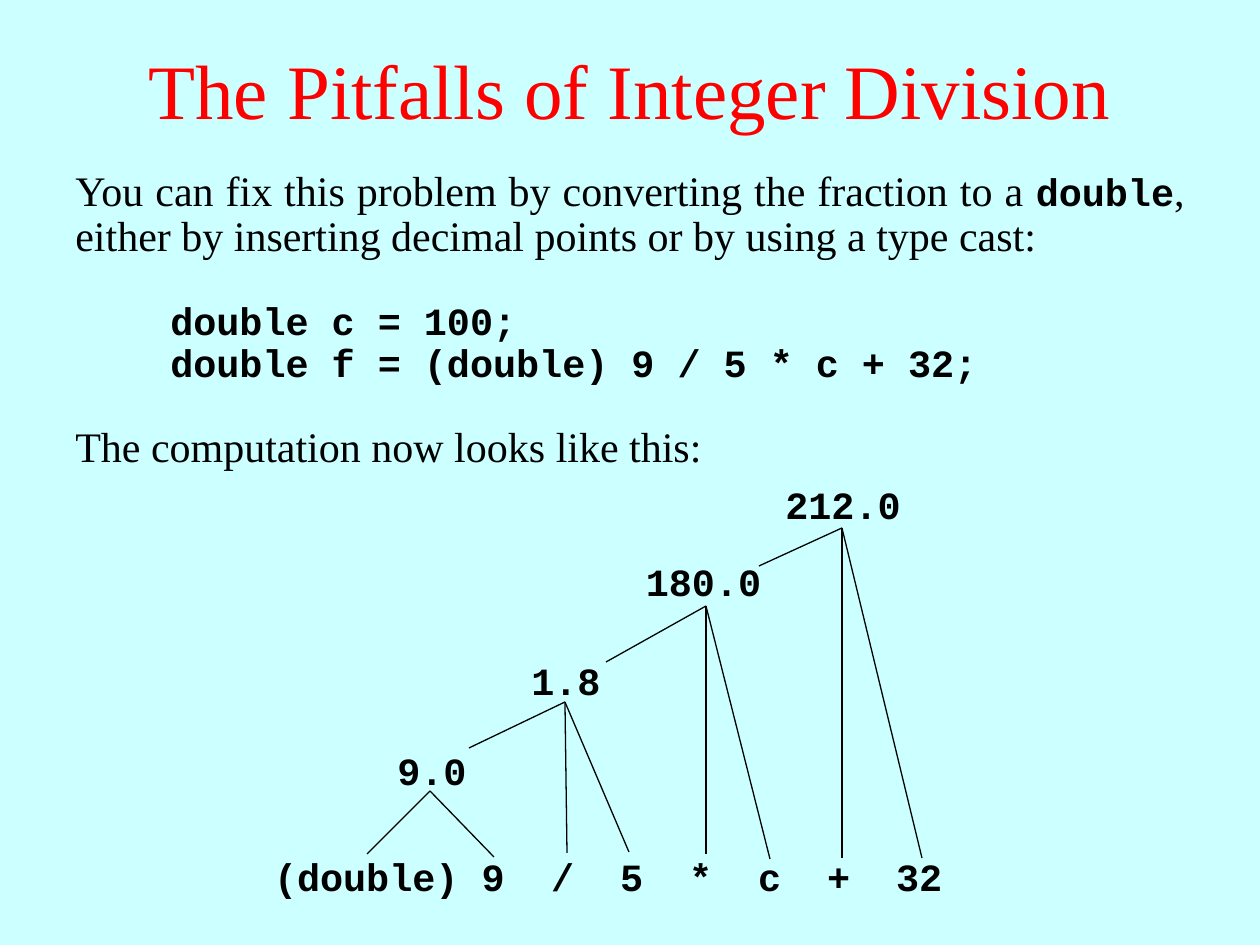
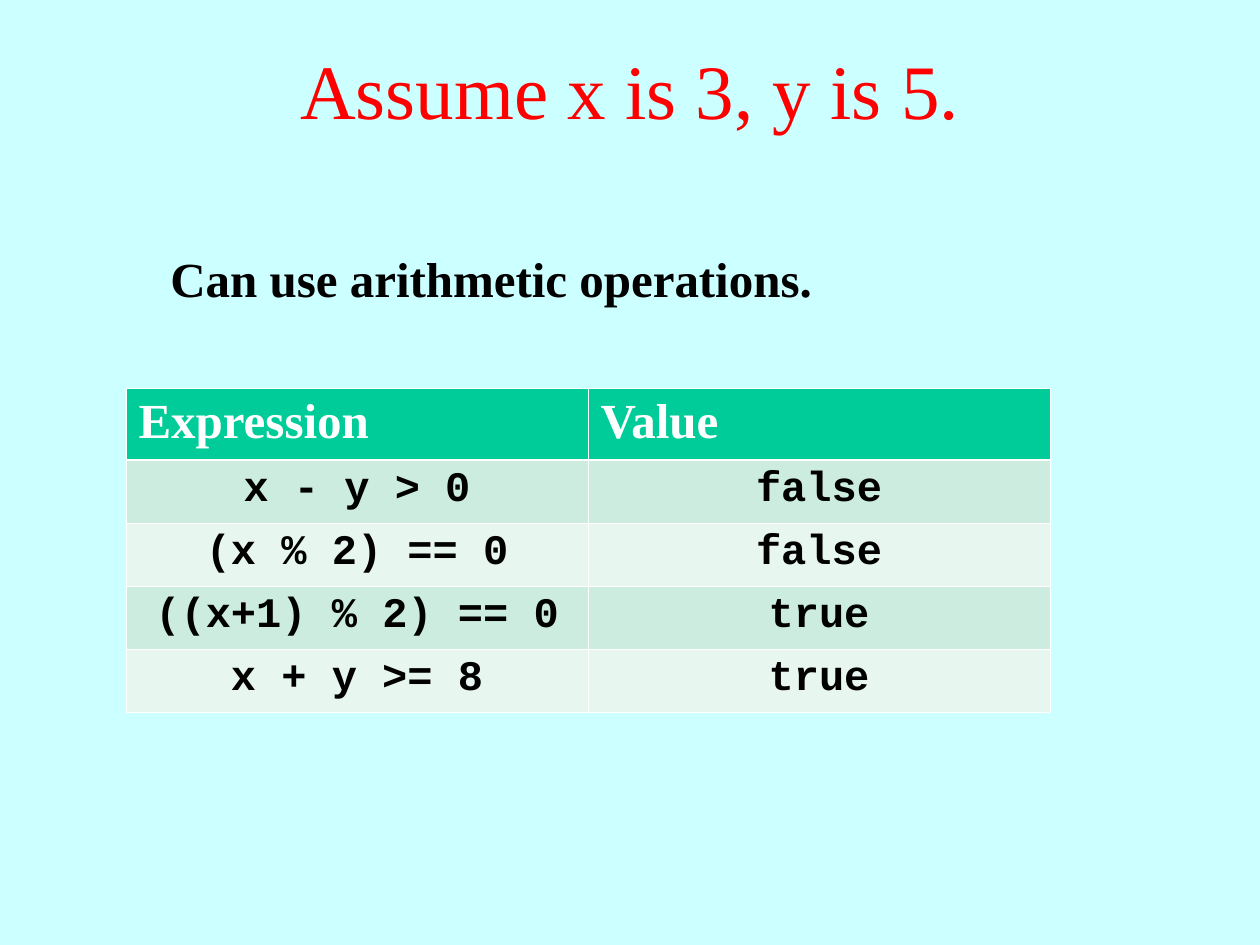
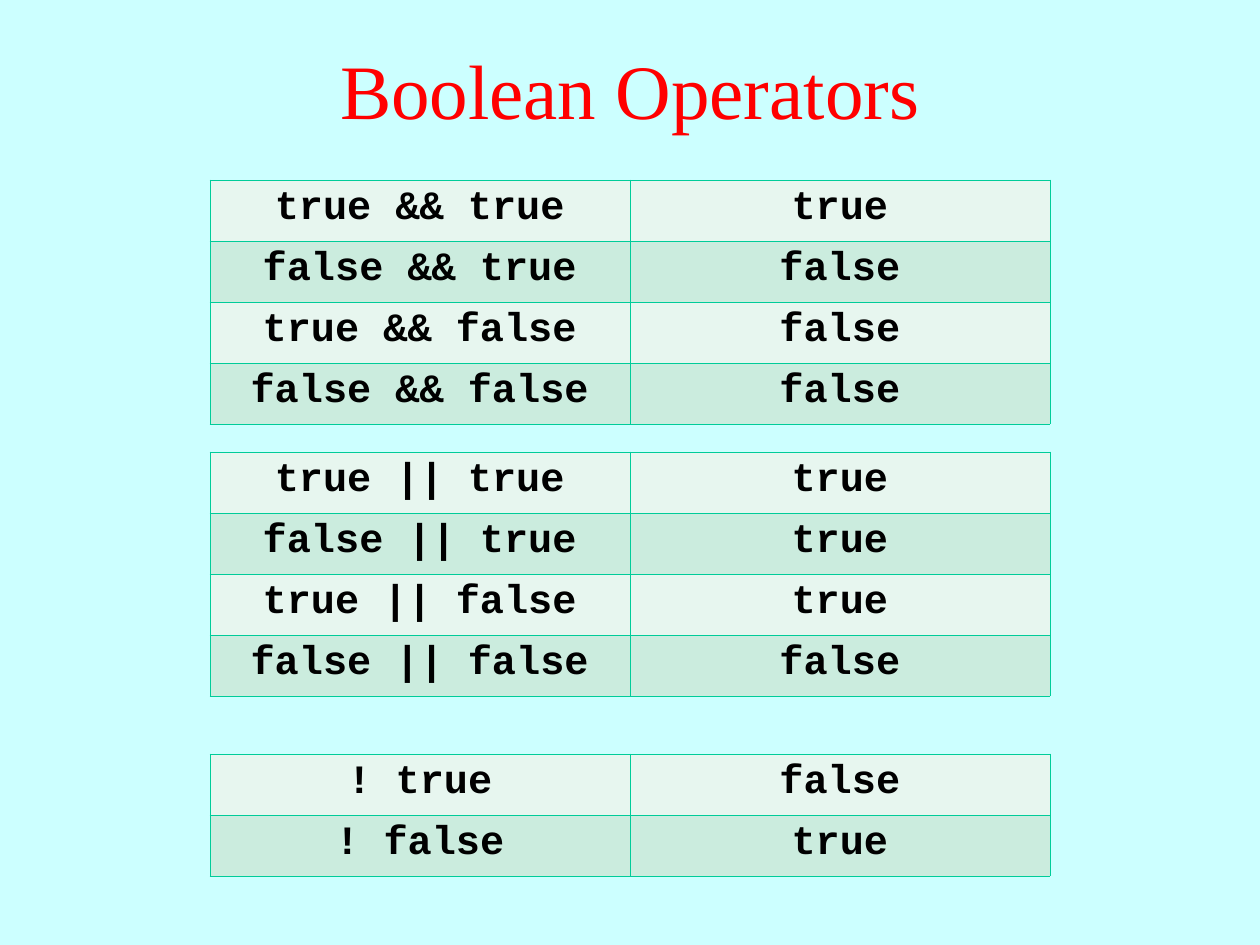
from lxml import etree
from pptx import Presentation
from pptx.dml.color import RGBColor
from pptx.enum.shapes import MSO_CONNECTOR
from pptx.enum.text import MSO_ANCHOR, MSO_AUTO_SIZE, PP_ALIGN
from pptx.oxml.ns import qn
from pptx.util import Emu, Pt

LEFT, CENTER, JUSTIFY = PP_ALIGN.LEFT, PP_ALIGN.CENTER, PP_ALIGN.JUSTIFY
MIDDLE = MSO_ANCHOR.MIDDLE
NO_FIT = MSO_AUTO_SIZE.NONE
STRAIGHT = MSO_CONNECTOR.STRAIGHT

SKY = RGBColor(0xCC, 0xFF, 0xFF)
RED = RGBColor(0xFF, 0x00, 0x00)
BLACK = RGBColor(0x00, 0x00, 0x00)
WHITE = RGBColor(0xFF, 0xFF, 0xFF)
GREEN = RGBColor(0x00, 0xCC, 0x99)
MINT = RGBColor(0xCB, 0xEC, 0xDE)
PALE = RGBColor(0xE7, 0xF6, 0xEF)

SERIF, MONO = "Times New Roman", "Courier New"
CODE = {"font": MONO, "size": 22, "bold": True}

EMU_PER_PX = 914400 / 126
PAGE_BOX = (0, 0, 1260, 945)
TITLE_BOX = (0, 10, 1260, 158)
TITLE_ONLY = 5
TEXT_HEIGHT = 54


def px(length):
    return Emu(round(length * EMU_PER_PX))


def inside(region, box):
    """Shift a box from region coordinates to page coordinates."""
    return (region[0] + box[0], region[1] + box[1], *box[2:])


def write(para, text, font=SERIF, size=24, bold=False, color=BLACK,
          align=LEFT, spacing=None):
    para.alignment = align
    if spacing:
        para.line_spacing = spacing
    span = para.add_run()
    span.text = text
    span.font.name = font
    span.font.size = Pt(size)
    span.font.bold = bold
    span.font.color.rgb = color


def add_text(page, box, *lines, **style):
    """Add a text box with one paragraph for each line; return its frame."""
    frame = page.shapes.add_textbox(*map(px, box)).text_frame
    frame.word_wrap = True
    for index, line in enumerate(lines):
        para = frame.add_paragraph() if index else frame.paragraphs[0]
        write(para, line, **style)
    return frame


def add_line(page, start, end):
    line = page.shapes.add_connector(STRAIGHT, *map(px, start + end))
    line.line.color.rgb = BLACK
    line.line.width = Pt(0.75)
    etree.SubElement(line._element.spPr, qn("a:effectLst"))


def add_page(deck, title):
    page = deck.slides.add_slide(deck.slide_layouts[TITLE_ONLY])
    holder = page.shapes.title
    holder.left, holder.top, holder.width, holder.height = map(px, TITLE_BOX)
    frame = holder.text_frame
    frame.auto_size = NO_FIT
    frame.vertical_anchor = MIDDLE
    write(frame.paragraphs[0], title, size=44, color=RED, align=CENTER)
    return page


def set_borders(cell, color, widths):
    """Draw the left, right, top and bottom borders, widths in points."""
    properties = cell._tc.get_or_add_tcPr()
    for side, width in zip("LRTB", widths):
        border = etree.SubElement(properties, qn(f"a:ln{side}"), w=str(Pt(width)))
        fill = etree.SubElement(border, qn("a:solidFill"))
        etree.SubElement(fill, qn("a:srgbClr"), val=str(color))


def add_grid(page, left, top, column_width, row_height, rows, size,
             border, header=None, header_height=0):
    """Add a two-column banded table, with an optional header row."""
    all_rows = ([header] if header else []) + rows
    height = header_height + row_height * len(rows)
    box = (left, top, 2 * column_width, height)
    table = page.shapes.add_table(len(all_rows), 2, *map(px, box)).table
    table.first_row = bool(header)
    table.horz_banding = False
    for column in table.columns:
        column.width = px(column_width)
    bands = (MINT, PALE) if header else (PALE, MINT)

    for index, values in enumerate(all_rows):
        is_header = bool(header) and index == 0
        table.rows[index].height = px(header_height if is_header else row_height)
        above = 1.47 if header and index == 1 else 0.45
        below = 1.47 if is_header else 0.45
        band = GREEN if is_header else bands[(index - bool(header)) % 2]
        for column, value in enumerate(values):
            cell = table.cell(index, column)
            set_borders(cell, border, (0.45, 0.45, above, below))
            cell.fill.solid()
            cell.fill.fore_color.rgb = band
            para = cell.text_frame.paragraphs[0]
            if is_header:
                write(para, value, size=28, bold=True, color=WHITE)
            else:
                write(para, value, font=MONO, size=size, bold=True, align=CENTER)


def add_explanation(page, region):
    """Prose with the code sample below it."""
    body = {"align": JUSTIFY, "spacing": 0.9}
    prose = add_text(page, inside(region, (0, 0, 1134, 103)),
                     "You can fix this problem by converting the fraction to a ", **body)
    write(prose.paragraphs[0], "double", **CODE, **body)
    write(prose.paragraphs[0],
          ", either by inserting decimal points or by using a type cast:", **body)
    add_text(page, inside(region, (95, 132, 1008, 96)),
             "double c = 100;", "double f = (double) 9 / 5 * c + 32;", **CODE, **body)
    add_text(page, inside(region, (0, 256, 1134, 58)),
             "The computation now looks like this:", **body)


def add_expression(page, box):
    """Leaves of the tree, one token on each tab stop."""
    tokens = ["(double) 9", "/", "5", "*", "c", "+", "32"]
    first_stop, step = 277, 69
    frame = add_text(page, box)
    frame.margin_left = px(180)
    para = frame.paragraphs[0]
    stops = etree.SubElement(para._p.get_or_add_pPr(), qn("a:tabLst"))
    for index in range(len(tokens) - 1):
        etree.SubElement(stops, qn("a:tab"), algn="l",
                         pos=str(px(first_stop + index * step)))
    write(para, "\t".join(tokens), spacing=0.9, **CODE)


def add_evaluation_tree(page, region):
    # Value, left, top and width of its box, branching point, branch ends
    nodes = [
        ("9.0", (275, 266, 126), (336, 311), [(273, 374), (400, 377)]),
        ("1.8", (409, 176, 126), (471, 222), [(375, 268), (473, 373), (535, 372)]),
        ("180.0", (536, 77, 147), (612, 126), [(512, 182), (612, 374), (676, 379)]),
        ("212.0", (670, 0, 158), (748, 48), [(665, 86), (748, 378), (828, 378)]),
    ]
    for value, box, apex, ends in nodes:
        for end in ends:
            add_line(page, inside(region, apex), inside(region, end))
        add_text(page, inside(region, (*box, TEXT_HEIGHT)), value,
                 align=CENTER, spacing=0.9, **CODE)
    add_expression(page, inside(region, (0, 372, region[2], TEXT_HEIGHT)))


def build_division_page(deck):
    page = add_page(deck, "The Pitfalls of Integer Division")
    add_explanation(page, (63, 164, 1134, 314))
    add_evaluation_tree(page, (94, 480, 1029, 426))


def build_arithmetic_page(deck):
    page = add_page(deck, "Assume x is 3, y is 5.")
    rows = [
        ("x - y > 0", "false"),
        ("(x % 2) == 0", "false"),
        ("((x+1) % 2) == 0", "true"),
        ("x + y >= 8", "true"),
    ]
    add_grid(page, 126, 388, 462, 63, rows, size=24, border=WHITE,
             header=("Expression", "Value"), header_height=72)
    add_text(page, (158, 242, 788, 72), "Can use arithmetic operations.",
             size=28, bold=True)


def build_boolean_page(deck):
    page = add_page(deck, "Boolean Operators")
    truth_tables = [
        (180, [("true && true", "true"), ("false && true", "false"),
               ("true && false", "false"), ("false && false", "false")]),
        (452, [("true || true", "true"), ("false || true", "true"),
               ("true || false", "true"), ("false || false", "false")]),
        (754, [("! true", "false"), ("! false", "true")]),
    ]
    for top, rows in truth_tables:
        add_grid(page, 210, top, 420, 61, rows, size=23, border=GREEN)


def main():
    deck = Presentation()
    deck.slide_width, deck.slide_height = map(px, PAGE_BOX[2:])
    background = deck.slide_master.background.fill
    background.solid()
    background.fore_color.rgb = SKY
    build_division_page(deck)
    build_arithmetic_page(deck)
    build_boolean_page(deck)
    deck.save("out.pptx")


if __name__ == "__main__":
    main()
